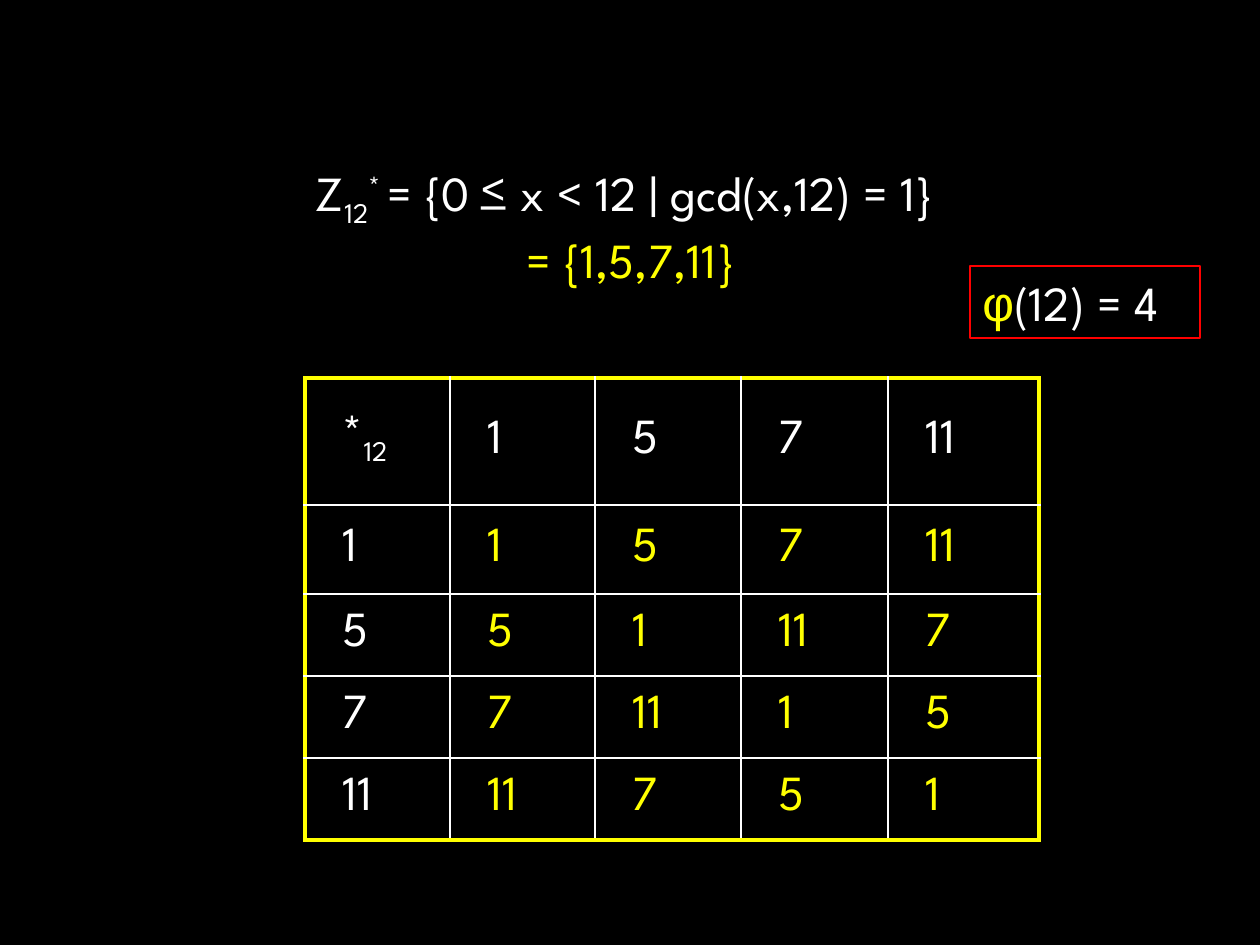
from lxml import etree
from pptx import Presentation
from pptx import util as u
from pptx.dml.color import RGBColor
from pptx.enum import shapes, text
from pptx.oxml.ns import qn

HUES = {"back": "000000", "white": "FFFFFF", "gold": "FFFF00", "red": "FF0000"}
SANS, GREEK = "League Spartan", "Arial"
SIZE = 28
MOD = 12
UNITS = [1, 5, 7, 11]

# Each run: words, colour, font, baseline shift in percent
TITLE = [
    ("Z", "white", SANS, 0),
    ("12", "white", SANS, -25),
    ("* ", "white", SANS, 30),
    ("= {0 ≤ x < 12 | gcd(x,12) = 1} \v", "white", SANS, 0),
    ("= {1,5,7,11}", "gold", SANS, 0),
]
COUNT = [("φ", "gold", GREEK, 0), ("(12) = 4", "white", SANS, 0)]
CORNER = [("*", "white", SANS, 0), ("12", "white", SANS, -25)]

TITLE_BOX = (173, 156, 916, 130)
COUNT_BOX = (970, 266, 230, 72)
GRID_AT = (305, 378)
COLS = [145, 145, 146, 147, 151]
ROWS = [127, 89, 82, 82, 82]
CELL = {"margin_left": 38, "margin_right": 38, "margin_top": 6, "margin_bottom": 6}


def px(n):
    return u.Emu(round(n * 914400 / 126))


def hue(name):
    return RGBColor.from_string(HUES[name])


def write(frame, runs, align):
    para = frame.paragraphs[0]
    para.alignment = align
    for words, tint, face, shift in runs:
        for i, part in enumerate(words.split("\v")):
            if i:
                para.add_line_break()
            if not part:
                continue
            run = para.add_run()
            run.text = part
            for key, val in {"size": u.Pt(SIZE), "name": face}.items():
                setattr(run.font, key, val)
            run.font.color.rgb = hue(tint)
            if shift:
                run._r.get_or_add_rPr().set("baseline", str(shift * 1000))


def edge(props, side, tint, width):
    """Add one border line to a cell."""
    line = etree.SubElement(props, qn("a:ln" + side), w=str(u.Pt(width)))
    fill = etree.SubElement(line, qn("a:solidFill"))
    etree.SubElement(fill, qn("a:srgbClr"), val=HUES[tint])


def product(r, c):
    """Runs for the cell in row r and column c of the multiplication table."""
    if r == c == 0:
        return CORNER
    if r == 0 or c == 0:
        return [(str(UNITS[r + c - 1]), "white", SANS, 0)]
    return [(str(UNITS[r - 1] * UNITS[c - 1] % MOD), "gold", SANS, 0)]


def add_grid(slide):
    size = (sum(COLS), sum(ROWS))
    frame = slide.shapes.add_table(len(ROWS), len(COLS), *map(px, GRID_AT + size))
    grid = frame.table
    grid.first_row = grid.horz_banding = False
    for col, wide in zip(grid.columns, COLS):
        col.width = px(wide)
    for r, high in enumerate(ROWS):
        grid.rows[r].height = px(high)
        for c in range(len(COLS)):
            cell = grid.cell(r, c)
            for key, val in CELL.items():
                setattr(cell, key, px(val))
            cell.vertical_anchor = text.MSO_ANCHOR.MIDDLE
            write(cell.text_frame, product(r, c), text.PP_ALIGN.LEFT)
            outer = {"L": c == 0, "R": c == len(COLS) - 1,
                     "T": r == 0, "B": r == len(ROWS) - 1}
            props = cell._tc.get_or_add_tcPr()
            for side, out in outer.items():
                edge(props, side, *(("gold", 2.25) if out else ("white", 1)))
            cell.fill.background()


def main():
    deck = Presentation()
    deck.slide_width, deck.slide_height = px(1260), px(945)
    slide = deck.slides.add_slide(deck.slide_layouts[6])
    slide.background.fill.solid()
    slide.background.fill.fore_color.rgb = hue("back")

    title = slide.shapes.add_textbox(*map(px, TITLE_BOX))
    title.text_frame.word_wrap = True
    write(title.text_frame, TITLE, text.PP_ALIGN.CENTER)

    add_grid(slide)

    count = slide.shapes.add_shape(shapes.MSO_SHAPE.RECTANGLE, *map(px, COUNT_BOX))
    count.shadow.inherit = False
    count.fill.background()
    count.line.color.rgb = hue("red")
    count.line.width = u.Pt(0.75)
    write(count.text_frame, COUNT, text.PP_ALIGN.LEFT)

    deck.save("out.pptx")


if __name__ == "__main__":
    main()
